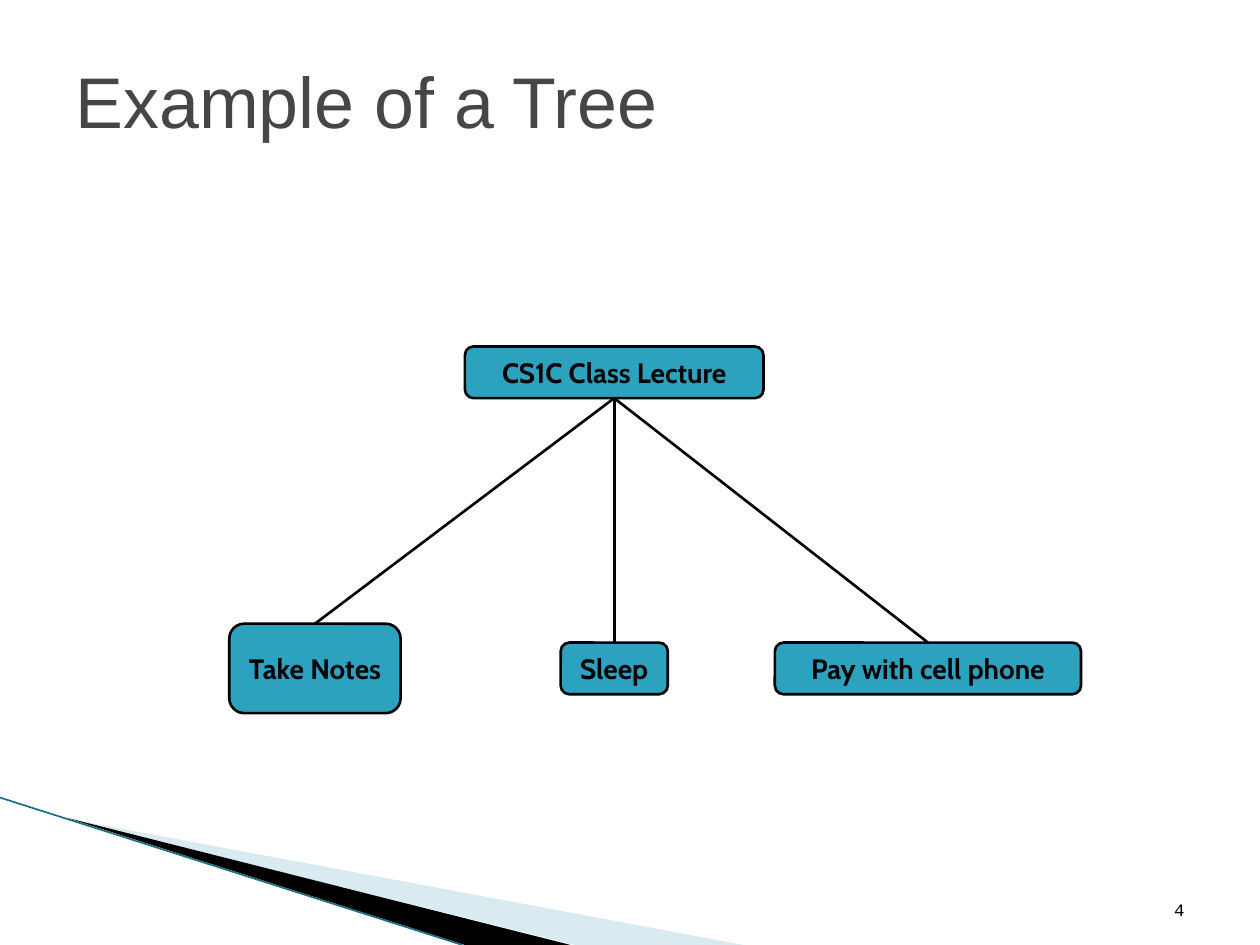
from lxml import etree
from pptx import Presentation
from pptx.dml.color import RGBColor
from pptx.enum.shapes import MSO_CONNECTOR, MSO_SHAPE
from pptx.enum.text import MSO_ANCHOR, MSO_AUTO_SIZE, PP_ALIGN
from pptx.oxml.ns import qn
from pptx.util import Inches, Pt

STRAIGHT = MSO_CONNECTOR.STRAIGHT
ROUNDED = MSO_SHAPE.ROUNDED_RECTANGLE
MIDDLE, BOTTOM = MSO_ANCHOR.MIDDLE, MSO_ANCHOR.BOTTOM
LEFT, CENTER, RIGHT = PP_ALIGN.LEFT, PP_ALIGN.CENTER, PP_ALIGN.RIGHT
NO_AUTOFIT = MSO_AUTO_SIZE.NONE
BOTTOM_SITE, TOP_SITE = 2, 0

BLACK, TEAL, PALE_BLUE = "000000", "2DA2BF", "A0CBDC"
DARK_TEAL, GREY = "1B7085", "464646"
TITLE_FONT = {"name": "Arial", "size": Pt(41), "bold": False}
NODE_FONT = {"name": "Cabin", "size": Pt(16), "bold": True}
NUMBER_FONT = {"name": "Courier New", "size": Pt(10)}

ROOT = ("CS1C Class Lecture", (3.69, 2.75, 2.37, 0.41))
CHILDREN = [
    ("Take Notes", (1.82, 4.95, 1.36, 0.71)),
    ("Sleep", (4.45, 5.1, 0.85, 0.41)),
    ("Pay with cell phone", (6.15, 5.1, 2.43, 0.41)),
]


def rgb(value):
    return RGBColor.from_string(value)


def inches(values):
    return [Inches(value) for value in values]


def write(shape, text, font_values, color, align, anchor, wrap=True):
    frame = shape.text_frame
    frame.auto_size = NO_AUTOFIT
    frame.word_wrap = wrap
    frame.vertical_anchor = anchor
    frame.text = text
    paragraph = frame.paragraphs[0]
    paragraph.alignment = align
    font = paragraph.runs[0].font
    for key, value in font_values.items():
        setattr(font, key, value)
    font.color.rgb = rgb(color)


def add_line(slide, start, end, color, width):
    line = slide.shapes.add_connector(STRAIGHT, *inches(start + end))
    line.line.color.rgb = rgb(color)
    line.line.width = Pt(width)
    etree.SubElement(line._element.spPr, qn("a:effectLst"))
    return line


def add_wedge(slide, box, outline, color, opacity=100):
    left, top, width, height = box
    points = [inches((left + x * width, top + y * height)) for x, y in outline]
    builder = slide.shapes.build_freeform(*points[0])
    builder.add_line_segments(points[1:], close=True)
    wedge = builder.convert_to_shape()
    wedge.shadow.inherit = False
    wedge.fill.solid()
    wedge.fill.fore_color.rgb = rgb(color)
    wedge.line.fill.background()
    if opacity < 100:
        fill_color = wedge._element.spPr.find(".//" + qn("a:srgbClr"))
        etree.SubElement(fill_color, qn("a:alpha"), val=str(opacity * 1000))


def add_corner_decoration(slide, box):
    left, top, width, height = box
    bottom = top + height
    add_wedge(slide, (0.55, 6.5, 5.35, bottom - 6.5),
              [(0, 0), (1, 1), (0.75, 1)], PALE_BLUE, 40)
    add_wedge(slide, (0.53, 6.49, 4.0, bottom - 6.49),
              [(0, 0), (1, 1), (0.79, 1)], BLACK)
    add_line(slide, (left, top), (left + width, bottom), DARK_TEAL, 0.95)


def add_title(slide, text, box):
    title = slide.shapes.title
    title.left, title.top, title.width, title.height = inches(box)
    write(title, text, TITLE_FONT, GREY, LEFT, MIDDLE)


def add_slide_number(slide, text, box):
    number = slide.shapes.add_textbox(*inches(box))
    write(number, text, NUMBER_FONT, BLACK, RIGHT, BOTTOM)


def add_node(slide, text, box):
    node = slide.shapes.add_shape(ROUNDED, *inches(box))
    node.shadow.inherit = False
    node.fill.solid()
    node.fill.fore_color.rgb = rgb(TEAL)
    node.line.color.rgb = rgb(BLACK)
    node.line.width = Pt(1.5)
    write(node, text, NODE_FONT, BLACK, CENTER, MIDDLE, wrap=False)
    return node


def add_tree(slide, root, children):
    parent = add_node(slide, *root)
    for text, box in children:
        child = add_node(slide, text, box)
        branch = add_line(slide, (0, 0), (1, 1), BLACK, 1.5)
        branch.begin_connect(parent, BOTTOM_SITE)
        branch.end_connect(child, TOP_SITE)


def main():
    deck = Presentation()
    deck.slide_width, deck.slide_height = inches((10, 7.5))
    slide = deck.slides.add_slide(deck.slide_layouts[5])
    slide.background.fill.solid()
    slide.background.fill.fore_color.rgb = rgb("FFFFFF")
    add_corner_decoration(slide, (0, 6.33, 3.67, 1.17))
    add_slide_number(slide, "4", (7.17, 6.83, 2.33, 0.52))
    add_title(slide, "Example of a Tree", (0.5, 0.3, 9, 0.98))
    add_tree(slide, ROOT, CHILDREN)
    deck.save("out.pptx")


if __name__ == "__main__":
    main()
